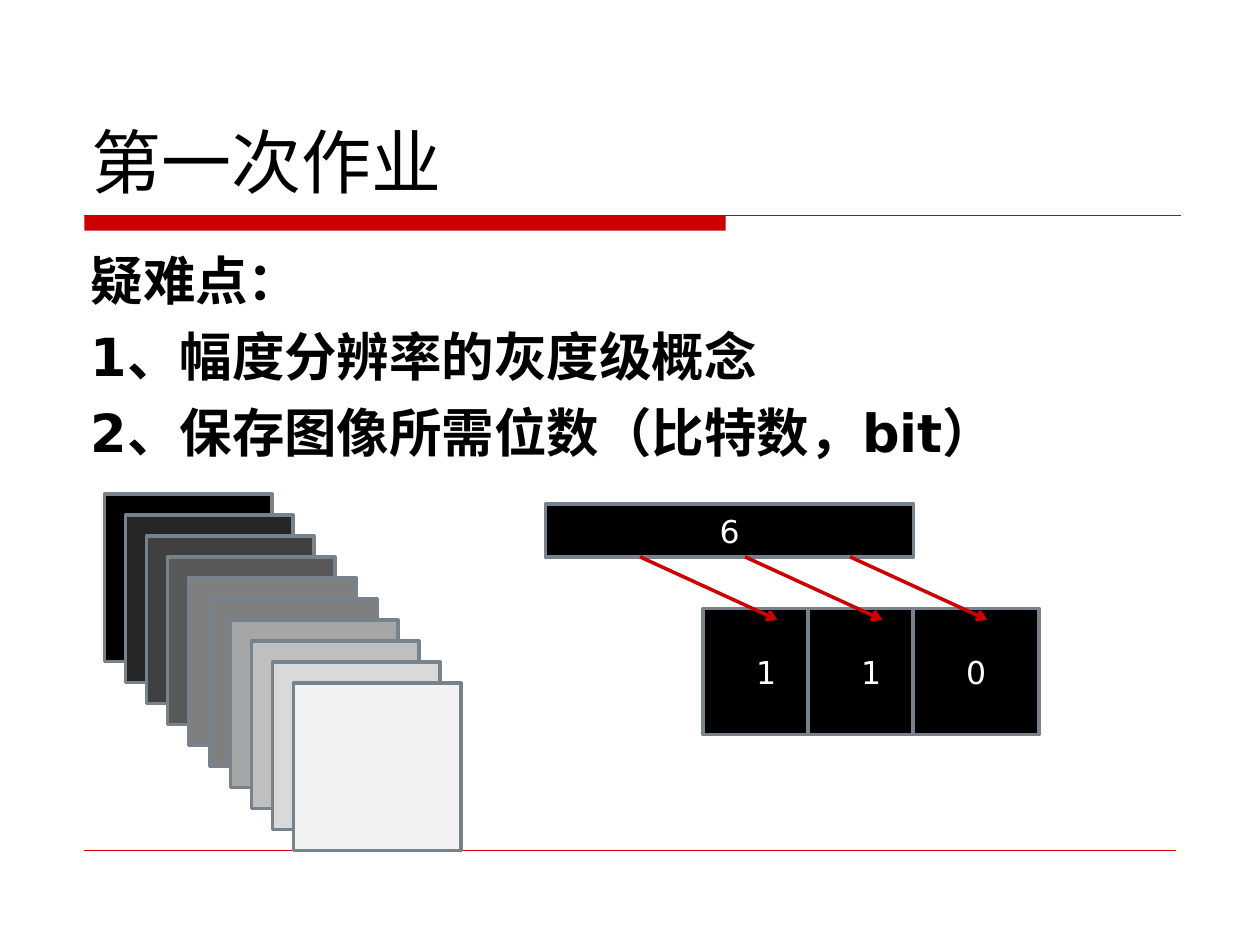
from lxml.etree import SubElement
from pptx import Presentation
from pptx.dml.color import RGBColor
from pptx.enum.shapes import MSO_CONNECTOR, MSO_SHAPE
from pptx.enum.text import MSO_ANCHOR, PP_ALIGN
from pptx.oxml.ns import qn
from pptx.util import Inches, Pt

FONT = "DejaVu Sans"
RED = RGBColor(0xCC, 0x00, 0x00)
BLACK = RGBColor(0x00, 0x00, 0x00)
WHITE = RGBColor(0xFF, 0xFF, 0xFF)
OUTLINE = RGBColor(0x77, 0x82, 0x8D)
GRAYS = [RGBColor(level, level, level) for level in
         (0x00, 0x26, 0x40, 0x59, 0x7F, 0x7F, 0xA6, 0xBF, 0xD9, 0xF2)]
STEP = 1 / 6


class SlideBuilder:
    """Draws styled elements on the current slide."""

    def __init__(self, page):
        self.page = page
        self.shapes = page.shapes

    def start_group(self):
        self.shapes = self.page.shapes.add_group_shape().shapes

    def style_text(self, para, size, color, bold=False):
        for span in para.runs:
            span.font.name = FONT
            span.font.size = Pt(size)
            span.font.bold = bold
            span.font.color.rgb = color

    def text(self, left, top, width, height, lines, size, bold=False,
             anchor=MSO_ANCHOR.TOP, gap=0):
        box = self.shapes.add_textbox(Inches(left), Inches(top), Inches(width), Inches(height))
        frame = box.text_frame
        frame.word_wrap = True
        frame.vertical_anchor = anchor
        frame.text = "\n".join(lines)
        for index, para in enumerate(frame.paragraphs):
            para.space_before = Pt(gap if index else 0)
            self.style_text(para, size, BLACK, bold)

    def rectangle(self, left, top, width, height, fill, outline=OUTLINE, label=""):
        box = self.shapes.add_shape(MSO_SHAPE.RECTANGLE, Inches(left), Inches(top),
                                    Inches(width), Inches(height))
        box.shadow.inherit = False
        box.fill.solid()
        box.fill.fore_color.rgb = fill
        if outline is None:
            box.line.fill.background()
        else:
            box.line.color.rgb = outline
            box.line.width = Pt(2)
        if label:
            frame = box.text_frame
            frame.text = label
            frame.vertical_anchor = MSO_ANCHOR.MIDDLE
            frame.paragraphs[0].alignment = PP_ALIGN.CENTER
            self.style_text(frame.paragraphs[0], 18, WHITE)

    def line(self, start, end, width, arrow=False):
        connector = self.shapes.add_connector(
            MSO_CONNECTOR.STRAIGHT, *(Inches(value) for value in (*start, *end)))
        connector.line.color.rgb = RED
        connector.line.width = Pt(width)
        if arrow:
            SubElement(connector.line._get_or_add_ln(), qn("a:tailEnd"), type="arrow")
        SubElement(connector._element.spPr, qn("a:effectLst"))


def main():
    deck = Presentation()
    deck.slide_width, deck.slide_height = Inches(10), Inches(7.5)
    builder = SlideBuilder(deck.slides.add_slide(deck.slide_layouts[6]))

    builder.rectangle(0.67, 1.71, 5.09, 0.12, RED, outline=None)
    builder.line((0.67, 1.71), (9.37, 1.71), 0.75)
    builder.line((0.67, 6.75), (9.33, 6.75), 0.25)
    builder.text(0.63, 0.33, 8.75, 1.33, ["第一次作业"], 40, anchor=MSO_ANCHOR.BOTTOM)
    builder.text(0.62, 1.92, 8.75, 4.67,
                 ["疑难点：", "1、幅度分辨率的灰度级概念", "2、保存图像所需位数（比特数，bit）"],
                 30, bold=True, gap=7.5)

    builder.start_group()
    for index, gray in enumerate(GRAYS):
        builder.rectangle(0.83 + index * STEP, 3.92 + index * STEP, 1.33, 1.33, gray)

    builder.start_group()
    builder.rectangle(4.33, 4, 2.92, 0.42, BLACK, label="6")
    offsets = [index * 5 * STEP for index in range(3)]
    for offset, bit in zip(offsets, "110"):
        builder.rectangle(5.58 + offset, 4.83, 1, 1, BLACK, label=bit)
    for offset in offsets:
        builder.line((5.08 + offset, 4.42), (6.17 + offset, 4.92), 2, arrow=True)

    deck.save("out.pptx")


if __name__ == "__main__":
    main()
